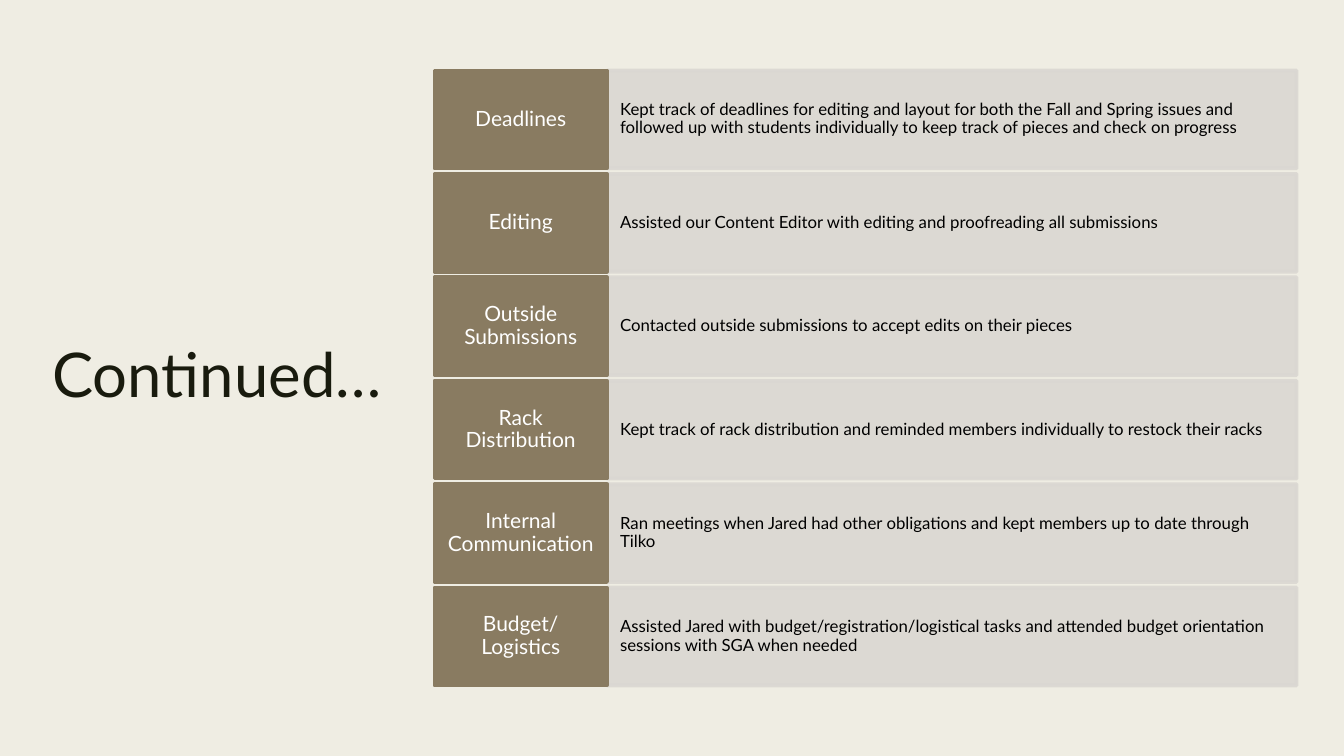
import pptx
import pptx.dml.color
import pptx.enum.shapes
import pptx.enum.text
import pptx.oxml
import pptx.oxml.ns
import pptx.util

Inches = pptx.util.Inches
RGBColor = pptx.dml.color.RGBColor
Align = pptx.enum.text.PP_ALIGN

CREAM = RGBColor(0xEF, 0xED, 0xE3)
INK = RGBColor(0x19, 0x1B, 0x0E)
BROWN = RGBColor(0x89, 0x7B, 0x61)
GREY = RGBColor(0xDA, 0xD7, 0xD2)
BLACK = RGBColor(0, 0, 0)
WHITE = RGBColor(0xFF, 0xFF, 0xFF)

TITLE_FORMAT = {"size": 44, "color": INK, "alignment": Align.CENTER,
                "line_spacing": 0.89, "margins": (0.1, 0.05)}
LABEL_FORMAT = {"size": 15, "color": WHITE, "alignment": Align.CENTER,
                "line_spacing": 0.9, "margins": (0.09, 0.1)}
DETAIL_FORMAT = {"size": 12, "color": BLACK, "alignment": Align.LEFT,
                 "line_spacing": 0.9, "margins": (0.13, 0.25)}

DUTIES = [
    ("Deadlines", "Kept track of deadlines for editing and layout for both the Fall and Spring "
     "issues and followed up with students individually to keep track of pieces and check on progress"),
    ("Editing", "Assisted our Content Editor with editing and proofreading all submissions"),
    ("Outside Submissions", "Contacted outside submissions to accept edits on their pieces"),
    ("Rack Distribution", "Kept track of rack distribution and reminded members individually "
     "to restock their racks"),
    ("Internal Communication", "Ran meetings when Jared had other obligations and kept members "
     "up to date through Tilko"),
    ("Budget/Logistics", "Assisted Jared with budget/registration/logistical tasks and attended "
     "budget orientation sessions with SGA when needed"),
]


def write_text(shape, text, style):
    frame = shape.text_frame
    frame.text = text
    horizontal, vertical = style["margins"]
    frame_values = {
        "word_wrap": True,
        "auto_size": pptx.enum.text.MSO_AUTO_SIZE.NONE,
        "vertical_anchor": pptx.enum.text.MSO_ANCHOR.MIDDLE,
        "margin_left": Inches(horizontal), "margin_right": Inches(horizontal),
        "margin_top": Inches(vertical), "margin_bottom": Inches(vertical),
    }
    for name, value in frame_values.items():
        setattr(frame, name, value)
    paragraph = frame.paragraphs[0]
    for name in ("alignment", "line_spacing"):
        setattr(paragraph, name, style[name])
    font = paragraph.runs[0].font
    for name, value in {"name": "Lato", "size": pptx.util.Pt(style["size"])}.items():
        setattr(font, name, value)
    font.color.rgb = style["color"]


def add_panel(slide, box, color, text, style, opacity=100):
    shape = slide.shapes.add_shape(
        pptx.enum.shapes.MSO_SHAPE.RECTANGLE, *map(Inches, box))
    shape.shadow.inherit = False
    shape.fill.solid()
    shape.fill.fore_color.rgb = color
    shape.line.color.rgb = color
    shape.line.width = pptx.util.Pt(2.75)
    if opacity < 100:
        for element in shape._element.spPr.iter(pptx.oxml.ns.qn("a:srgbClr")):
            alpha = pptx.oxml.parse_xml(
                f'<a:alpha {pptx.oxml.ns.nsdecls("a")} val="{opacity * 1000}"/>')
            element.append(alpha)
    write_text(shape, text, style)


def add_title(slide, box):
    title = slide.shapes.title
    for name, value in zip(("left", "top", "width", "height"), box):
        setattr(title, name, Inches(value))
    write_text(title, "Continued…", TITLE_FORMAT)


def add_duties(slide, box):
    left, top, width, height = box
    gap = 0.056
    row_height = (height - gap * (len(DUTIES) - 1)) / len(DUTIES)
    label_width = width / 5
    for index, (label, detail) in enumerate(DUTIES):
        row_top = top + index * (row_height + gap)
        add_panel(slide, (left + label_width, row_top, width - label_width, row_height),
                  GREY, detail, DETAIL_FORMAT, opacity=90)
        add_panel(slide, (left, row_top, label_width, row_height),
                  BROWN, label, LABEL_FORMAT)


def main():
    presentation = pptx.Presentation()
    presentation.slide_width = Inches(13.33)
    presentation.slide_height = Inches(7.5)
    slide = presentation.slides.add_slide(presentation.slide_layouts[5])
    slide.background.fill.solid()
    slide.background.fill.fore_color.rgb = CREAM
    add_title(slide, (0.35, 0.7, 3.61, 6.1))
    add_duties(slide, (4.31, 0.7, 8.55, 6.1))
    presentation.save("out.pptx")


if __name__ == "__main__":
    main()
